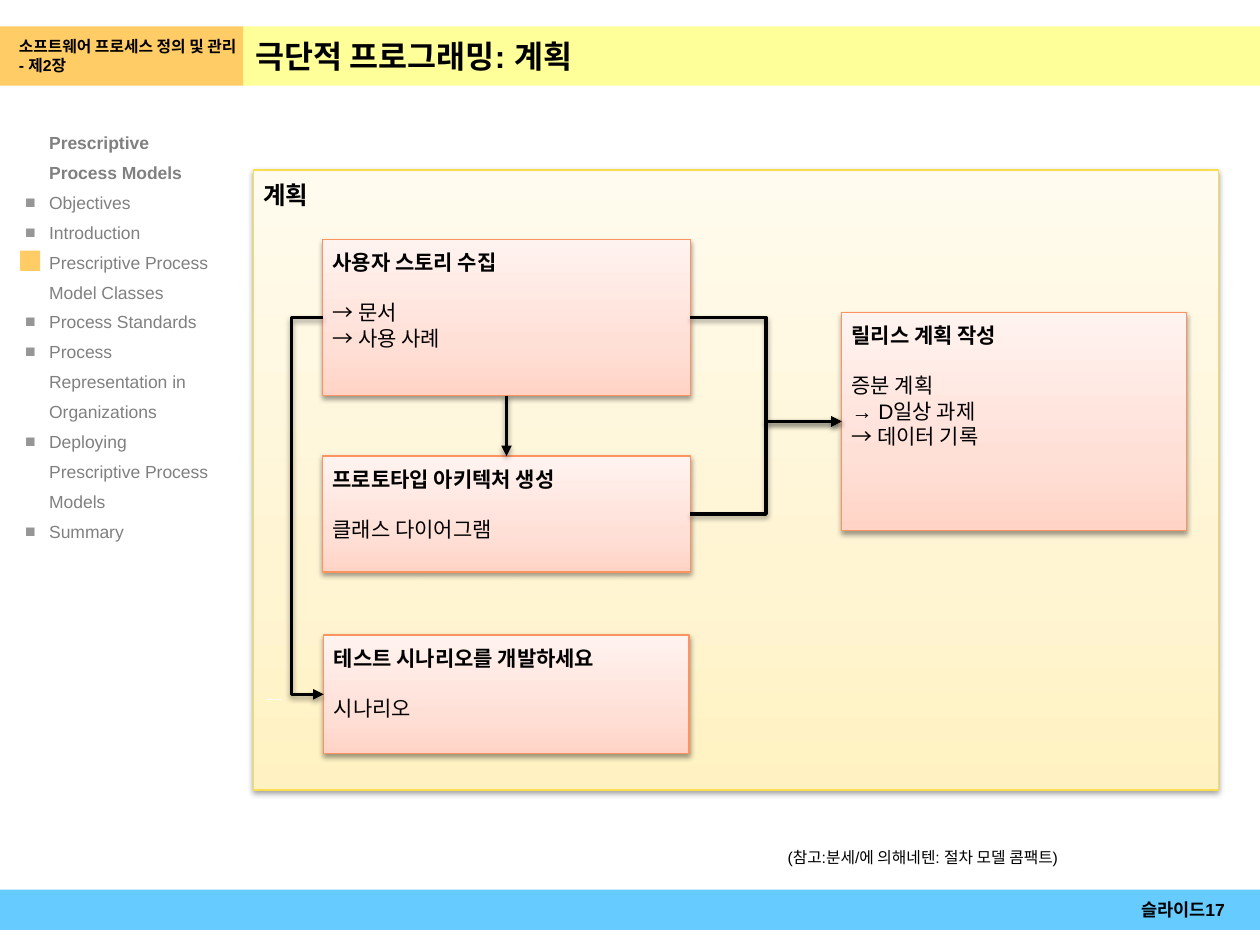
"""Build the extreme programming planning slide."""
import copy
from dataclasses import dataclass

from lxml import etree
from pptx import Presentation
from pptx import util as u
from pptx.dml.color import RGBColor
from pptx.enum import shapes, text
from pptx.oxml import parse_xml
from pptx.oxml.ns import nsdecls, qn


@dataclass(frozen=True)
class Theme:
    """Colours, font and type sizes."""
    font: str = "Arial"
    ink: str = "000000"
    muted: str = "808080"
    bullet: str = "969696"
    white: str = "FFFFFF"
    footer: str = "66CCFF"
    title_bar: str = "FFFF99"
    accent: str = "FFCC66"
    panel: tuple = ("FFF1C1", "FFF5D3", "FFFBEE")
    panel_edge: str = "FADD4D"
    card: tuple = ("FFD4C6", "FFE0D7", "FFF3F0")
    card_edge: str = "FD9460"
    title_size: float = 18
    panel_size: float = 14
    card_size: float = 12
    nav_size: float = 10
    small_size: float = 9


T = Theme()
TOPICS = ["Objectives", "Introduction", "Prescriptive Process Model Classes",
          "Process Standards", "Process Representation in Organizations",
          "Deploying Prescriptive Process Models", "Summary"]
CARDS = [
    ((2.56, 1.9, 2.92, 1.24), ["사용자 스토리 수집", "→ 문서", "→ 사용 사례"]),
    ((2.56, 3.62, 2.92, 0.92), ["프로토타입 아키텍처 생성", "클래스 다이어그램"]),
    ((2.57, 5.04, 2.9, 0.94), ["테스트 시나리오를 개발하세요", "시나리오"]),
    ((6.68, 2.48, 2.74, 1.73),
     ["릴리스 계획 작성", "증분 계획", "→ D일상 과제", "→ 데이터 기록"]),
]


def rgb(value):
    return RGBColor.from_string(value)


def apply(obj, **values):
    for name, value in values.items():
        setattr(obj, name, value)


def place(sp, box):
    apply(sp, **dict(zip(("left", "top", "width", "height"), map(u.Inches, box))))


def frame(sp, margins=(0.1, 0.05, 0.1, 0.05), anchor=text.MSO_ANCHOR.TOP):
    """Set the margins, wrapping and anchor of a text frame."""
    tf = sp.text_frame
    names = ("margin_left", "margin_top", "margin_right", "margin_bottom")
    apply(tf, word_wrap=True, auto_size=text.MSO_AUTO_SIZE.NONE,
          vertical_anchor=anchor, **dict(zip(names, map(u.Inches, margins))))
    return tf


def paragraph(tf, words, size, bold=False, color=T.ink, first=False,
              align=text.PP_ALIGN.LEFT, indent=(0, 0), bullet=None, **spacing):
    """Write one formatted paragraph."""
    p = tf.paragraphs[0] if first else tf.add_paragraph()
    apply(p, alignment=align, **spacing)
    ppr = p._p.get_or_add_pPr()
    for name, value in zip(("marL", "indent"), indent):
        ppr.set(name, str(u.Inches(value)))
    if bullet:
        ppr.append(parse_xml(f'<a:buClr {nsdecls("a")}><a:srgbClr val="{T.bullet}"/></a:buClr>'))
        etree.SubElement(ppr, qn("a:buChar"), char=bullet)
    else:
        etree.SubElement(ppr, qn("a:buNone"))
    r = p.add_run()
    r.text = words
    apply(r.font, name=T.font, size=u.Pt(size), bold=bold)
    r.font.color.rgb = rgb(color)


def shadow(sp):
    """Add the soft shadow that falls straight down."""
    sp._element.spPr.append(parse_xml(
        f'<a:effectLst {nsdecls("a")}><a:outerShdw blurRad="{u.Pt(3.1)}" dist="{u.Pt(1.6)}" '
        f'dir="5400000" rotWithShape="0"><a:srgbClr val="{T.ink}"><a:alpha val="38000"/>'
        '</a:srgbClr></a:outerShdw></a:effectLst>'))


def bar(slide, box, color):
    """Add a flat rectangle."""
    sp = slide.shapes.add_shape(shapes.MSO_SHAPE.RECTANGLE, *map(u.Inches, box))
    sp.fill.solid()
    sp.fill.fore_color.rgb = rgb(color)
    sp.line.fill.background()
    sp.shadow.inherit = False
    return sp


def card(slide, box, colors, edge, lines, size):
    """Add a shaded box with a bold heading and plain lines below it."""
    sp = slide.shapes.add_shape(shapes.MSO_SHAPE.RECTANGLE, *map(u.Inches, box))
    sp.fill.gradient()
    sp.fill.gradient_angle = 90
    stop = sp.fill.gradient_stops[0]
    stops = sp._element.spPr.find(".//" + qn("a:gsLst"))
    stops.insert(1, copy.deepcopy(stops[0]))
    for stop, color, position in zip(sp.fill.gradient_stops, colors, (0, 0.35, 1)):
        stop.color.rgb = rgb(color)
        stop.position = position
    sp.line.color.rgb = rgb(edge)
    sp.line.width = u.Pt(0.75)
    shadow(sp)
    tf = frame(sp, (0.08,) * 4)
    for i, words in enumerate(lines):
        paragraph(tf, words, size, bold=i == 0, first=i == 0,
                  space_before=u.Pt(14.4 if i == 1 else 0))
    return sp


def arrow(slide, start, start_side, end, end_side, kind, lane=None):
    """Join two boxes with an arrow, optionally bending at a given x."""
    c = slide.shapes.add_connector(kind, 0, 0, 0, 0)
    c.begin_connect(start, start_side)
    c.end_connect(end, end_side)
    c.line.color.rgb = rgb(T.ink)
    c.line.width = u.Pt(2)
    spPr = c._element.spPr
    etree.SubElement(spPr.find(qn("a:ln")), qn("a:tailEnd"), type="triangle")
    if lane is not None:
        bend = round((u.Inches(lane) - c.begin_x) / (c.end_x - c.begin_x) * 100000)
        guides = spPr.find(qn("a:prstGeom")).get_or_add_avLst()
        etree.SubElement(guides, qn("a:gd"), name="adj1", fmla=f"val {bend}")
    shadow(c)


def label(slide, box, words, size, **fmt):
    """Add a one-line text box."""
    sp = slide.shapes.add_textbox(*map(u.Inches, box))
    tf = frame(sp, (0, 0, 0, 0), text.MSO_ANCHOR.MIDDLE)
    paragraph(tf, words, size, first=True, **fmt)


def header(slide):
    """Fill the title bar and the chapter box beside it."""
    title = slide.shapes.title
    place(title, (1.93, 0.21, 8.07, 0.47))
    title.fill.solid()
    title.fill.fore_color.rgb = rgb(T.title_bar)
    paragraph(frame(title, anchor=text.MSO_ANCHOR.MIDDLE), "극단적 프로그래밍: 계획",
              T.title_size, bold=True, first=True, indent=(0.11, -0.11))
    chapter = bar(slide, (0, 0.21, 1.93, 0.47), T.accent)
    tf = frame(chapter, (0.04, 0.05, 0.04, 0.05), text.MSO_ANCHOR.MIDDLE)
    paragraph(tf, "소프트웨어 프로세스 정의 및 관리 - 제2장", T.small_size, bold=True,
              first=True, indent=(0.11, 0))


def navigation(slide):
    """List the chapter topics and mark the current one."""
    body = slide.placeholders[1]
    place(body, (0.2, 0.98, 1.5, 5.91))
    tf = frame(body, (0, 0, 0, 0))
    fmt = dict(size=T.nav_size, color=T.muted, line_spacing=1.42, space_before=u.Pt(0))
    paragraph(tf, "Prescriptive Process Models", bold=True, first=True, indent=(0.19, 0), **fmt)
    for topic in TOPICS:
        paragraph(tf, topic, indent=(0.19, -0.19), bullet="■", **fmt)
    bar(slide, (0.16, 1.99, 0.16, 0.16), T.accent)


def plan(slide):
    """Draw the planning panel, its steps and their flow."""
    card(slide, (2.01, 1.35, 7.66, 4.92), T.panel, T.panel_edge, ["계획"], T.panel_size)
    stories, prototype, tests, release = [
        card(slide, box, T.card, T.card_edge, lines, T.card_size) for box, lines in CARDS]
    kinds = shapes.MSO_CONNECTOR
    dash = slide.shapes.add_connector(
        kinds.STRAIGHT, *map(u.Inches, (2.12, 5.55, 2.23, 5.55)))
    dash.line.color.rgb = rgb(T.white)
    dash.line.width = u.Pt(0.75)
    etree.SubElement(dash._element.spPr, qn("a:effectLst"))
    arrow(slide, stories, 1, tests, 1, kinds.ELBOW, lane=2.31)
    arrow(slide, stories, 2, prototype, 0, kinds.STRAIGHT)
    for step in (stories, prototype):
        arrow(slide, step, 3, release, 1, kinds.ELBOW)


def main():
    prs = Presentation()
    apply(prs, slide_width=u.Inches(10), slide_height=u.Inches(7.5))
    slide = prs.slides.add_slide(prs.slide_layouts[1])
    bar(slide, (0, 7.06, 10, 0.32), T.footer)
    header(slide)
    navigation(slide)
    plan(slide)
    label(slide, (8.7, 7.06, 1.02, 0.32), "슬라이드17", T.nav_size, bold=True,
          align=text.PP_ALIGN.RIGHT)
    label(slide, (6.25, 6.73, 3.42, 0.15), "(참고:분세/에 의해네텐: 절차 모델 콤팩트)", T.small_size)
    prs.save("out.pptx")


if __name__ == "__main__":
    main()
